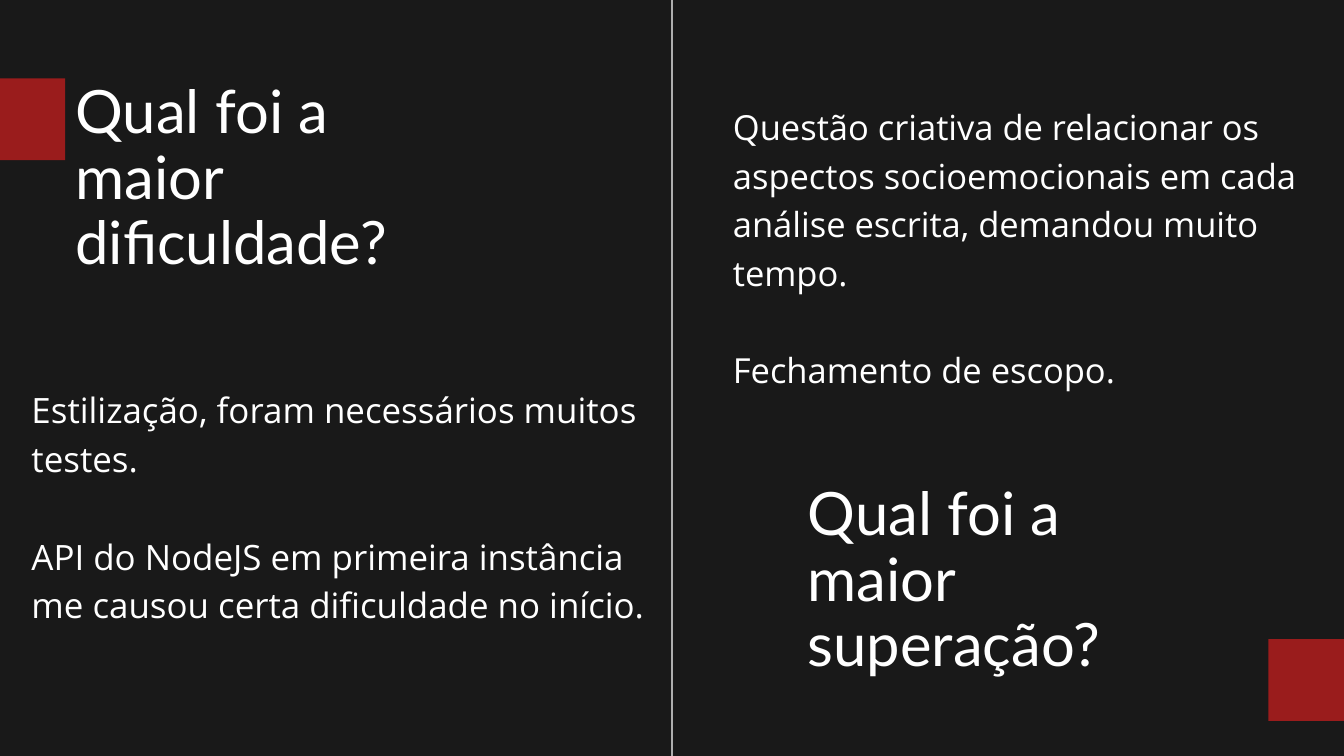
from lxml.etree import SubElement
from pptx import Presentation
from pptx.dml.color import RGBColor
from pptx.enum.shapes import MSO_SHAPE as Shape
from pptx.enum.text import MSO_AUTO_SIZE as AutoSize
from pptx.oxml.ns import qn
from pptx.util import Pt

EMU_PER_PX = 9525
WIDTH, HEIGHT = 1920, 1080
COLORS = {"background": "191919", "text": "FFFFFF", "divider": "FFFFFF", "accent": "BB1D1D"}
FRAME_FORMAT = {
    "margin_left": 0, "margin_top": 0, "margin_right": 0, "margin_bottom": 0,
    "word_wrap": True, "auto_size": AutoSize.SHAPE_TO_FIT_TEXT,
}
TITLE = {"name": "Lato", "size": 64, "leading": 70.4}
LEFT_BODY = {"name": "Open Sans", "size": 37.4, "leading": 52.2}
RIGHT_BODY = {"name": "Open Sans", "size": 37, "leading": 51.9}


def px(*lengths):
    return [length * EMU_PER_PX for length in lengths]


def color(name):
    return RGBColor.from_string(COLORS[name])


def set_format(target, values):
    for name, value in values.items():
        setattr(target, name, value)


def add_text(slide, box, style, *texts):
    """Add paragraphs set one empty line apart."""
    frame = slide.shapes.add_textbox(*px(*box)).text_frame
    set_format(frame, FRAME_FORMAT)
    frame.text = "\n".join(texts)
    for index, paragraph in enumerate(frame.paragraphs):
        leading = Pt(style["leading"])
        set_format(paragraph, {"line_spacing": leading, "space_before": leading if index else 0})
        font = paragraph.runs[0].font
        set_format(font, {"name": style["name"], "size": Pt(style["size"])})
        font.color.rgb = color("text")


def add_block(slide, box, fill, opacity=100):
    shape = slide.shapes.add_shape(Shape.RECTANGLE, *px(*box))
    shape.shadow.inherit = False
    shape.line.fill.background()
    shape.fill.solid()
    shape.fill.fore_color.rgb = color(fill)
    if opacity < 100:
        rgb = shape.fill._xPr.find(".//" + qn("a:srgbClr"))
        SubElement(rgb, qn("a:alpha"), val=str(opacity * 1000))


def main():
    presentation = Presentation()
    presentation.slide_width, presentation.slide_height = px(WIDTH, HEIGHT)
    slide = presentation.slides.add_slide(presentation.slide_layouts[6])
    slide.background.fill.solid()
    slide.background.fill.fore_color.rgb = color("background")

    add_text(slide, (45, 546, 916, 347), LEFT_BODY,
             "Estilização, foram necessários muitos testes.",
             "API do NodeJS em primeira instância me causou certa dificuldade no início.")
    add_block(slide, (959, -28, 2, 1136), "divider")
    add_text(slide, (108, 114, 558, 284), TITLE, "Qual foi a maior dificuldade?")
    add_text(slide, (1154, 688, 527, 284), TITLE, "Qual foi a maior superação?")
    add_text(slide, (1047, 142, 826, 412), RIGHT_BODY,
             "Questão criativa de relacionar os aspectos socioemocionais em cada "
             "análise escrita, demandou muito tempo.",
             "Fechamento de escopo.")
    for left, top in ((-59, 112), (1812, 913)):
        add_block(slide, (left, top, 152, 117), "accent", opacity=80)

    presentation.save("out.pptx")


if __name__ == "__main__":
    main()
